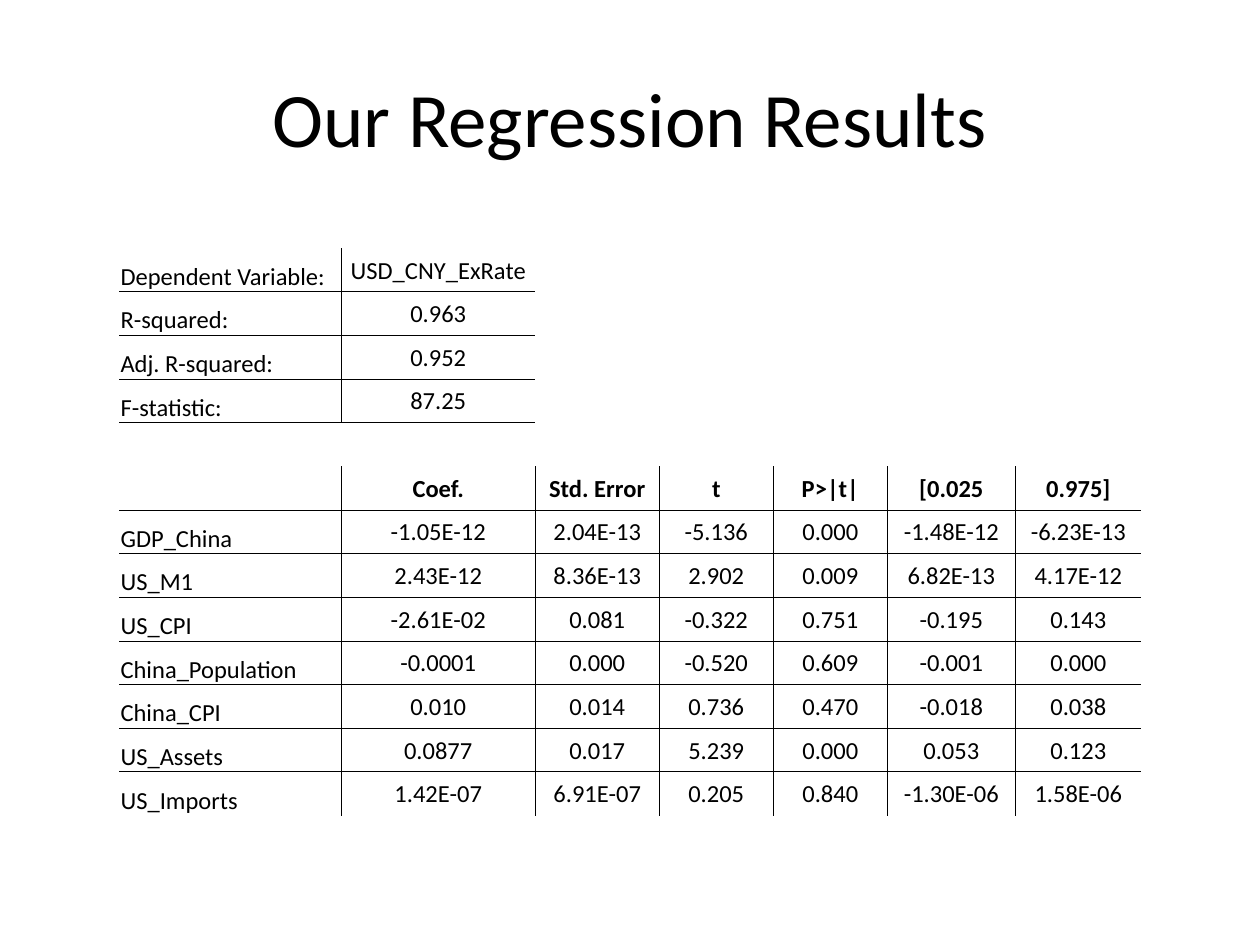
from dataclasses import dataclass

from lxml import etree
from pptx import Presentation
from pptx.dml.color import RGBColor
from pptx.enum.text import MSO_ANCHOR, PP_ALIGN
from pptx.oxml.ns import qn
from pptx.util import Cm, Pt

LEFT, CENTER = PP_ALIGN.LEFT, PP_ALIGN.CENTER
MIDDLE, BOTTOM = MSO_ANCHOR.MIDDLE, MSO_ANCHOR.BOTTOM


@dataclass(frozen=True)
class Theme:
    font: str = "Calibri"
    ink: str = "000000"
    title_size: int = 44
    body_size: int = 14
    rule_width: float = 0.5


THEME = Theme()

SUMMARY = [
    ["Dependent Variable:", "USD_CNY_ExRate"],
    ["R-squared:", "0.963"],
    ["Adj. R-squared:", "0.952"],
    ["F-statistic:", "87.25"],
]
HEADER = ["", "Coef.", "Std. Error", "t", "P>|t|", "[0.025", "0.975]"]
COEFFICIENTS = [
    ["GDP_China", "-1.05E-12", "2.04E-13", "-5.136", "0.000", "-1.48E-12", "-6.23E-13"],
    ["US_M1", "2.43E-12", "8.36E-13", "2.902", "0.009", "6.82E-13", "4.17E-12"],
    ["US_CPI", "-2.61E-02", "0.081", "-0.322", "0.751", "-0.195", "0.143"],
    ["China_Population", "-0.0001", "0.000", "-0.520", "0.609", "-0.001", "0.000"],
    ["China_CPI", "0.010", "0.014", "0.736", "0.470", "-0.018", "0.038"],
    ["US_Assets", "0.0877", "0.017", "5.239", "0.000", "0.053", "0.123"],
    ["US_Imports", "1.42E-07", "6.91E-07", "0.205", "0.840", "-1.30E-06", "1.58E-06"],
]
# The empty row separates the summary from the coefficients
ROWS = SUMMARY + [[]] + [HEADER] + COEFFICIENTS
COLUMN_WIDTHS = [4.48, 3.91, 2.5, 2.3, 2.3, 2.58, 2.54]


def add_text(paragraph, text, size, align, bold=False):
    paragraph.alignment = align
    run = paragraph.add_run()
    run.text = text
    run.font.name = THEME.font
    run.font.size = Pt(size)
    run.font.bold = bold
    run.font.color.rgb = RGBColor.from_string(THEME.ink)


def set_borders(cell, visible):
    """Rule the sides named in visible and clear the others."""
    properties = cell._tc.get_or_add_tcPr()
    for side in ("L", "R", "T", "B"):
        line = etree.SubElement(properties, qn(f"a:ln{side}"), w=str(Pt(THEME.rule_width)))
        if side in visible:
            fill = etree.SubElement(line, qn("a:solidFill"))
            etree.SubElement(fill, qn("a:srgbClr"), val=THEME.ink)
        else:
            etree.SubElement(line, qn("a:noFill"))


def visible_sides(row, column):
    """Rules run between neighbours and under every filled row but the last."""
    width = len(ROWS[row])
    sides = ""
    if 0 < column < width:
        sides += "L"
    if column < width - 1:
        sides += "R"
    if row > 0 and column < len(ROWS[row - 1]):
        sides += "T"
    if column < width and row < len(ROWS) - 1:
        sides += "B"
    return sides


def add_title(slide, left, top, width, height):
    frame = slide.shapes.add_textbox(Cm(left), Cm(top), Cm(width), Cm(height)).text_frame
    frame.word_wrap = True
    frame.vertical_anchor = MIDDLE
    add_text(frame.paragraphs[0], "Our Regression Results", THEME.title_size, CENTER)


def add_results(slide, left, top, width, height):
    table = slide.shapes.add_table(
        len(ROWS), len(COLUMN_WIDTHS), Cm(left), Cm(top), Cm(width), Cm(height)
    ).table
    table.first_row = table.horz_banding = False
    scale = width / sum(COLUMN_WIDTHS)
    for column, column_width in zip(table.columns, COLUMN_WIDTHS):
        column.width = Cm(column_width * scale)

    for r, values in enumerate(ROWS):
        table.rows[r].height = Cm(height / len(ROWS))
        for c in range(len(COLUMN_WIDTHS)):
            cell = table.cell(r, c)
            cell.margin_left = cell.margin_right = cell.margin_top = Cm(0.03)
            cell.margin_bottom = 0
            cell.vertical_anchor = MIDDLE if c else BOTTOM
            set_borders(cell, visible_sides(r, c))
            cell.fill.background()
            if c < len(values) and values[c]:
                add_text(cell.text_frame.paragraphs[0], values[c], THEME.body_size,
                         CENTER if c else LEFT, bold=values is HEADER)


def main():
    deck = Presentation()
    deck.slide_width, deck.slide_height = Cm(25.4), Cm(19.05)
    slide = deck.slides.add_slide(deck.slide_layouts[6])
    add_title(slide, 1.27, 0.76, 22.86, 3.18)
    add_results(slide, 2.4, 5, 20.61, 11.45)
    deck.save("out.pptx")


if __name__ == "__main__":
    main()
